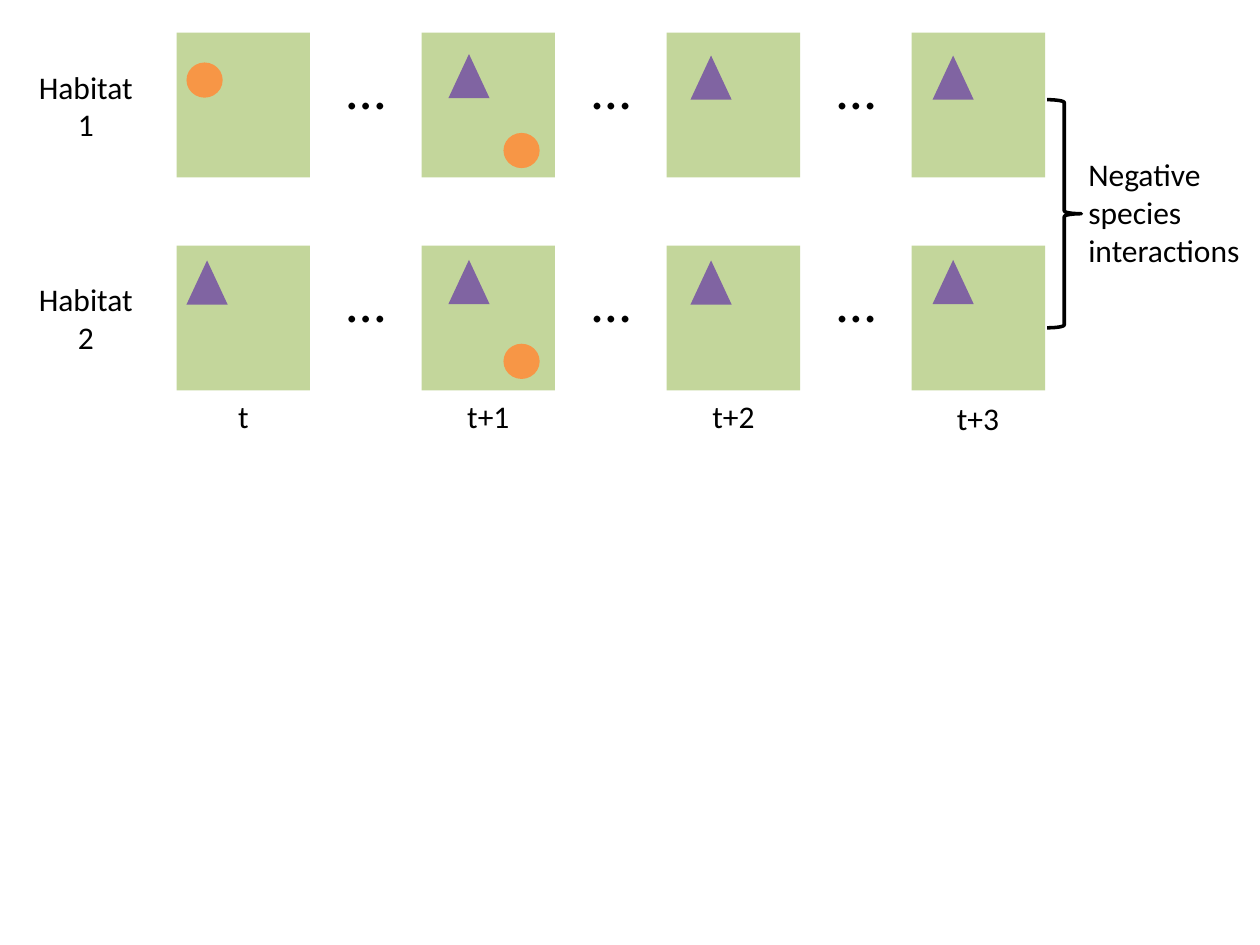
from pptx import Presentation
from pptx.dml.color import RGBColor
from pptx.enum.shapes import MSO_SHAPE
from pptx.enum.text import MSO_ANCHOR, MSO_AUTO_SIZE, PP_ALIGN
from pptx.util import Cm, Pt

COLORS = {"patch": "C3D69B", "triangle": "8064A2", "circle": "F79646", "ink": "000000"}
FONT = "Calibri"

PATCH_W, PATCH_H = 2.69, 2.92
FIRST_X, STEP_X = 3.56, 4.94
FIRST_Y, STEP_Y = 0.66, 4.29
SPECIES = {
    "triangle": (MSO_SHAPE.ISOSCELES_TRIANGLE, 0.83, 0.89),
    "circle": (MSO_SHAPE.OVAL, 0.73, 0.71),
}
# One list per habitat, one entry per time step: (species, x, y) inside the patch.
HABITATS = [
    [
        [("circle", 0.2, 0.6)],
        [("triangle", 0.54, 0.43), ("circle", 1.65, 2.02)],
        [("triangle", 0.48, 0.46)],
        [("triangle", 0.42, 0.46)],
    ],
    [
        [("triangle", 0.2, 0.3)],
        [("triangle", 0.54, 0.29), ("circle", 1.65, 1.98)],
        [("triangle", 0.48, 0.3)],
        [("triangle", 0.42, 0.29)],
    ],
]
# Label, box width, top, alignment
TIMES = [
    ("t", 0.74, 7.87, PP_ALIGN.CENTER),
    ("t+1", 1.37, 7.87, PP_ALIGN.CENTER),
    ("t+2", 1.37, 7.87, PP_ALIGN.CENTER),
    ("t+3", 1.37, 7.92, PP_ALIGN.LEFT),
]


def add_figure(slide, preset, color, x, y, w, h):
    """Add a filled preset shape without outline or shadow."""
    shape = slide.shapes.add_shape(preset, Cm(x), Cm(y), Cm(w), Cm(h))
    shape.shadow.inherit = False
    shape.fill.solid()
    shape.fill.fore_color.rgb = RGBColor.from_string(COLORS[color])
    shape.line.fill.background()


def add_text(slide, lines, x, y, w, h, size=18, align=PP_ALIGN.CENTER,
             wrap=False, anchor=MSO_ANCHOR.TOP):
    """Add a text box with one paragraph per line."""
    box = slide.shapes.add_textbox(Cm(x), Cm(y), Cm(w), Cm(h))
    frame = box.text_frame
    frame.word_wrap = wrap
    frame.auto_size = MSO_AUTO_SIZE.SHAPE_TO_FIT_TEXT
    frame.vertical_anchor = anchor
    frame.text = "\n".join(lines)
    for paragraph in frame.paragraphs:
        paragraph.alignment = align
        font = paragraph.runs[0].font
        font.name, font.size = FONT, Pt(size)
        font.color.rgb = RGBColor.from_string(COLORS["ink"])


def add_patch(slide, x, y, residents):
    """Draw a habitat patch at one time step with its species."""
    add_figure(slide, MSO_SHAPE.RECTANGLE, "patch", x, y, PATCH_W, PATCH_H)
    for species, dx, dy in residents:
        preset, w, h = SPECIES[species]
        add_figure(slide, preset, species, x + dx, y + dy, w, h)


def add_habitat(slide, number, y, steps):
    """Draw a habitat row: its label, patches and the dots between them."""
    add_text(slide, ["Habitat", str(number)], 0.51, y + 0.58, 2.44, 1.8)
    for column, residents in enumerate(steps):
        x = FIRST_X + column * STEP_X
        add_patch(slide, x, y, residents)
        if column < len(steps) - 1:
            add_text(slide, ["…"], x + 3.17, y + 0.29, 1.3, 1.63,
                     size=32, anchor=MSO_ANCHOR.MIDDLE)


def add_time_axis(slide):
    """Label each column of patches with its time step."""
    for column, (label, width, y, align) in enumerate(TIMES):
        center = FIRST_X + column * STEP_X + PATCH_W / 2
        add_text(slide, [label], center - width / 2, y, width, 1.02, align=align)


def add_interaction_note(slide, x, y, h):
    """Draw the brace that joins both habitats, with its note."""
    brace = slide.shapes.add_shape(MSO_SHAPE.RIGHT_BRACE, Cm(x), Cm(y), Cm(0.69), Cm(h))
    brace.shadow.inherit = False
    brace.fill.background()
    brace.line.color.rgb = RGBColor.from_string(COLORS["ink"])
    brace.line.width = Pt(2)
    add_text(slide, ["Negative species interactions"], x + 0.58, y + 1, 3.71, 2.57,
             align=PP_ALIGN.LEFT, wrap=True)


def main():
    """Build the slide and save it."""
    prs = Presentation()
    prs.slide_width, prs.slide_height = Cm(25.4), Cm(19.05)
    slide = prs.slides.add_slide(prs.slide_layouts.get_by_name("Blank"))
    add_interaction_note(slide, 21.11, 2.01, 4.6)
    for row, steps in enumerate(HABITATS):
        add_habitat(slide, row + 1, FIRST_Y + row * STEP_Y, steps)
    add_time_axis(slide)
    prs.save("out.pptx")


main()
